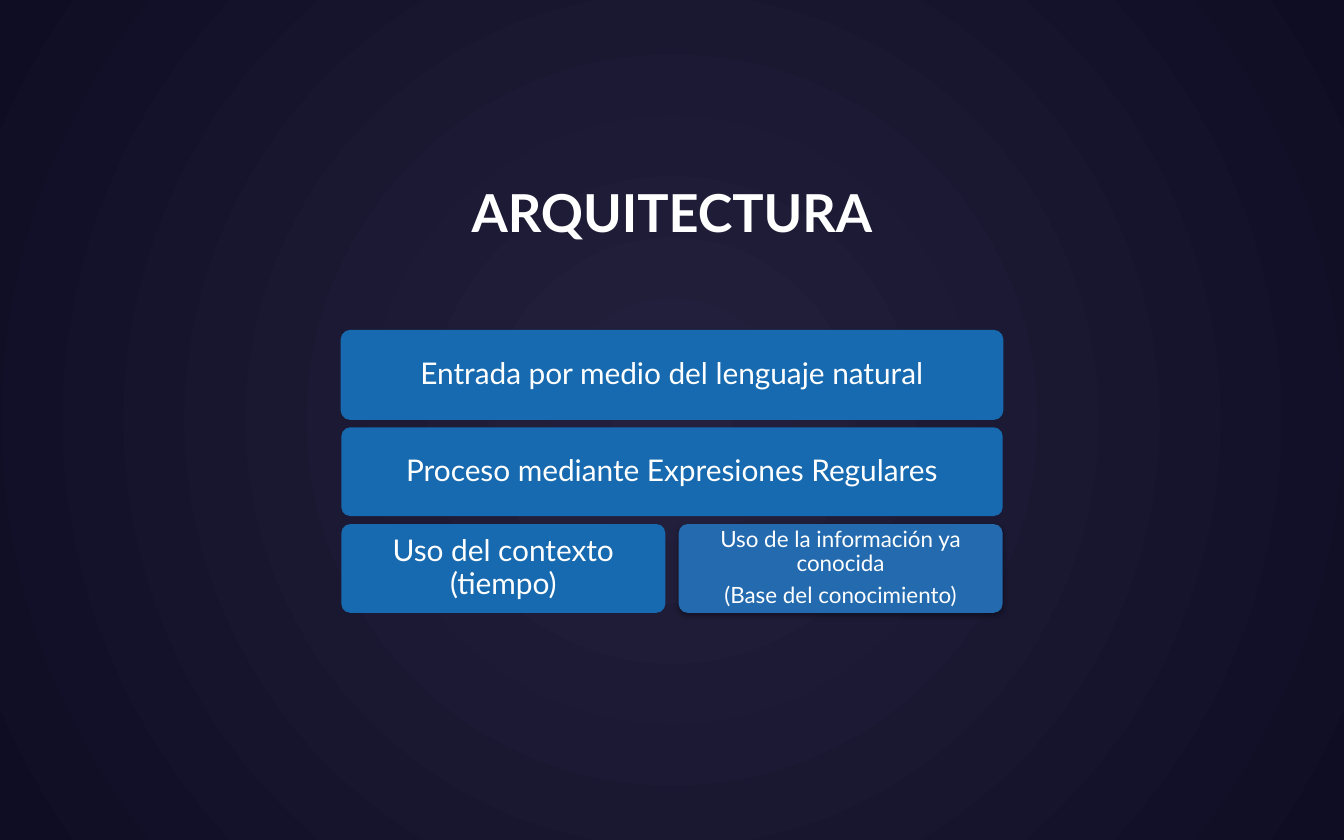
from lxml import etree
from pptx import Presentation
from pptx.dml.color import RGBColor
from pptx.enum import shapes, text
from pptx.oxml import parse_xml
from pptx.oxml.ns import nsdecls, qn
from pptx.util import Inches, Pt

NIGHT = RGBColor(0x24, 0x21, 0x3E)
NIGHT_EDGE = RGBColor(0x0F, 0x0D, 0x23)
BLUE = RGBColor(0x17, 0x6A, 0xAF)
SOFT_BLUE = RGBColor(0x23, 0x6A, 0xAE)
WHITE = RGBColor(0xFF, 0xFF, 0xFF)
FONT = "Lato"


def paint_background(slide):
    fill = slide.background.fill
    fill.gradient()
    for stop, color, position in zip(fill.gradient_stops, (NIGHT, NIGHT_EDGE), (0, 1)):
        stop.color.rgb = color
        stop.position = position
    direction = slide._element.find(".//" + qn("a:lin"))
    radial = parse_xml(
        f'<a:path {nsdecls("a")} path="circle">'
        '<a:fillToRect l="50000" t="50000" r="50000" b="50000"/></a:path>'
    )
    direction.getparent().replace(direction, radial)


def write(frame, wording, size, bold=False):
    frame.word_wrap = True
    frame.text = wording
    for paragraph in frame.paragraphs:
        paragraph.alignment = text.PP_ALIGN.CENTER
        for run in paragraph.runs:
            run.font.name = FONT
            run.font.size = Pt(size)
            run.font.bold = bold
            run.font.color.rgb = WHITE


def add_title(slide, left, top, width, height):
    title = slide.shapes.add_textbox(left, top, width, height)
    write(title.text_frame, "ARQUITECTURA", 28, bold=True)


def add_shadow(block):
    effects = block._element.spPr.find(qn("a:effectLst"))
    shadow = etree.SubElement(
        effects, qn("a:outerShdw"), blurRad=str(Pt(3.1)), dist=str(Pt(1.8)),
        dir="5400000", rotWithShape="0")
    color = etree.SubElement(shadow, qn("a:srgbClr"), val="000000")
    etree.SubElement(color, qn("a:alpha"), val="35000")


def add_block(slide, left, top, width, height, wording, size=16, color=BLUE, inset=0.09):
    block = slide.shapes.add_shape(
        shapes.MSO_SHAPE.ROUNDED_RECTANGLE, left, top, width, height)
    block.adjustments[0] = 0.1
    block.shadow.inherit = False
    block.fill.solid()
    block.fill.fore_color.rgb = color
    block.line.fill.background()
    frame = block.text_frame
    write(frame, wording, size)
    frame.vertical_anchor = text.MSO_ANCHOR.MIDDLE
    frame.margin_left = frame.margin_right = Inches(inset)
    frame.margin_top = frame.margin_bottom = Inches(inset)
    for paragraph in frame.paragraphs:
        paragraph.line_spacing = 0.9
        paragraph.space_after = Pt(size * 0.35)
    return block


def add_architecture(slide, left, top, width, height):
    row_gap, column_gap = Inches(0.06), Inches(0.1)
    row = (height - 2 * row_gap) // 3
    column = (width - column_gap) // 2
    tops = [top + i * (row + row_gap) for i in range(3)]

    entry = add_block(slide, left, tops[0], width, row,
                      "Entrada por medio del lenguaje natural")
    entry.line.color.rgb = BLUE
    entry.line.width = Pt(0.75)
    add_block(slide, left, tops[1], width, row, "Proceso mediante Expresiones Regulares")
    add_block(slide, left, tops[2], column, row, "Uso del contexto (tiempo)")
    knowledge = add_block(
        slide, left + column + column_gap, tops[2], column, row,
        "Uso de la información ya conocida\n(Base del conocimiento)",
        size=12, color=SOFT_BLUE, inset=0.07)
    add_shadow(knowledge)


def main():
    deck = Presentation()
    deck.slide_width, deck.slide_height = Inches(10), Inches(6.25)
    slide = deck.slides.add_slide(deck.slide_layouts[6])
    paint_background(slide)
    add_architecture(slide, Inches(2.54), Inches(2.46), Inches(4.92), Inches(2.1))
    add_title(slide, 0, Inches(1.29), deck.slide_width, Inches(0.57))
    deck.save("out.pptx")


if __name__ == "__main__":
    main()
